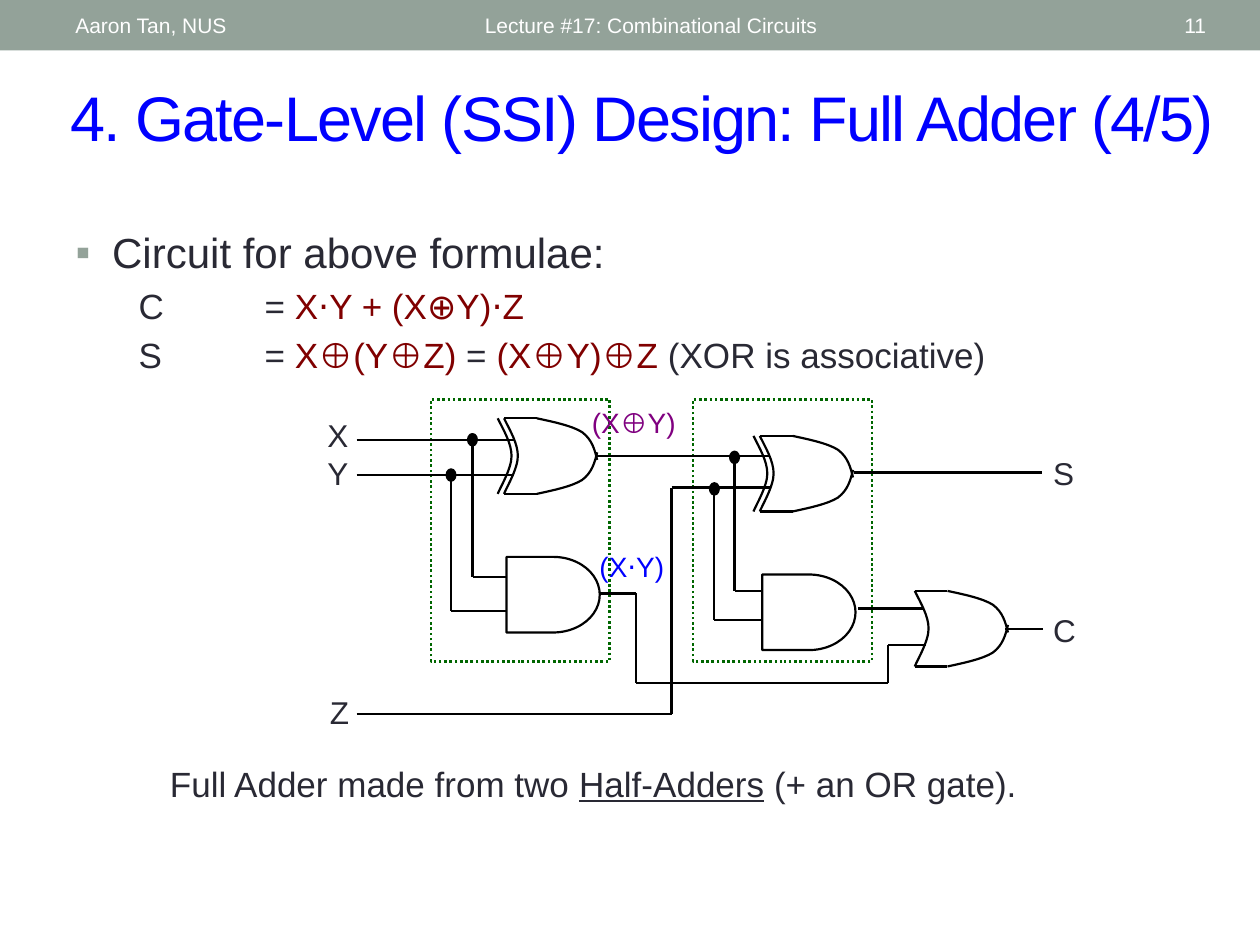
from itertools import pairwise

from lxml.etree import SubElement
from pptx import Presentation
from pptx.dml.color import RGBColor
from pptx.enum.dml import MSO_LINE
from pptx.enum.lang import MSO_LANGUAGE_ID as LANG
from pptx.enum.shapes import MSO_CONNECTOR, MSO_SHAPE
from pptx.enum.text import MSO_ANCHOR, MSO_AUTO_SIZE, PP_ALIGN
from pptx.oxml.ns import qn
from pptx.util import Emu, Inches, Pt

COLS, ROWS = 10, 7.5
UNIT = Inches(1)  # one grid column or row
BLACK, WHITE, INK, SAGE = "000000", "FFFFFF", "292934", "93A299"
BLUE, MAROON, PURPLE, GREEN = "0000FF", "800000", "800080", "006600"

GATE_H = 0.6
AND_W = 0.74
HALF_W, HALF_H = 1.42, 2.08
OR_BACK = [(0, 0), (0.05, 0.1), (0.11, 0.2), (0.11, 0.3),
           (0.11, 0.4), (0.02, 0.55), (0, 0.6)]
OR_NOSE = [(0.26, 0), (0.4, 0.03), (0.54, 0.06), (0.62, 0.11),
           (0.7, 0.17), (0.72, 0.25), (0.74, 0.33)]


def grid(*values):
    return [Emu(round(v * UNIT)) for v in values]


def rgb(value):
    return RGBColor.from_string(value)


def add_run(p, text, size=20, color=INK, underline=None, spacing=None, lang=None):
    r = p.add_run()
    r.text = text
    r.font.name, r.font.size = "Arial", Pt(size)
    r.font.color.rgb = rgb(color)
    r.font.underline = underline
    if lang is not None:
        r.font.language_id = lang
    if spacing is not None:
        r._r.get_or_add_rPr().set("spc", str(spacing))
    return r


def place(sp, x, y, w, h):
    sp.left, sp.top, sp.width, sp.height = grid(x, y, w, h)


def add_label(s, box, *lines, align=PP_ALIGN.LEFT, anchor=MSO_ANCHOR.TOP, **fmt):
    tf = s.shapes.add_textbox(*grid(*box)).text_frame
    tf.word_wrap, tf.vertical_anchor = True, anchor
    for i, line in enumerate(lines):
        p = tf.paragraphs[0] if i == 0 else tf.add_paragraph()
        p.alignment = align
        add_run(p, line, **fmt)
    return tf


def style(sp, fill=None, line=BLACK, width=1.25):
    sp.shadow.inherit = False
    if fill:
        sp.fill.solid()
        sp.fill.fore_color.rgb = rgb(fill)
    else:
        sp.fill.background()
    if line:
        sp.line.color.rgb, sp.line.width = rgb(line), Pt(width)
    else:
        sp.line.fill.background()
    return sp


def add_shape(s, kind, box, **fmt):
    return style(s.shapes.add_shape(kind, *grid(*box)), **fmt)


def wire(s, *points):
    """Join the points with straight connectors."""
    for a, b in pairwise(points):
        c = s.shapes.add_connector(MSO_CONNECTOR.STRAIGHT, *grid(*a, *b))
        c.line.color.rgb, c.line.width = rgb(BLACK), Pt(1.25)
        SubElement(c._element.spPr, qn("a:effectLst"))


def curve(s, x, y, points):
    """Draw a chain of cubic Bezier segments, offset by x and y."""
    dots = [grid(x + dx, y + dy) for dx, dy in points]
    fb = s.shapes.build_freeform(*dots[0])
    fb.add_line_segments(dots[1:], close=False)
    sp = style(fb.convert_to_shape())
    outline = next(sp._element.iter(qn("a:path")))
    lines = outline.findall(qn("a:lnTo"))
    for i in range(0, len(lines), 3):
        bezier = SubElement(outline, qn("a:cubicBezTo"))
        for ln in lines[i:i + 3]:
            bezier.append(ln[0])
            outline.remove(ln)


def or_gate(s, x, y, exclusive=False):
    curve(s, x, y, OR_BACK)
    if exclusive:
        curve(s, x - 0.05, y, OR_BACK)
    for edge in (y, y + GATE_H):
        wire(s, (x, edge), (x + OR_NOSE[0][0], edge))
    curve(s, x, y, OR_NOSE)
    curve(s, x, y, [(dx, GATE_H - dy) for dx, dy in OR_NOSE])


def half_adder(s, x, y, gate_x, xor_y, taps, and_ins):
    """Taps are the (x, y) junctions; each feeds one input of the AND gate."""
    or_gate(s, x + gate_x, y + xor_y, exclusive=True)
    and_x, and_y = x + gate_x + 0.02, y + xor_y + 1.1
    add_shape(s, MSO_SHAPE.FLOWCHART_DELAY, (and_x, and_y, AND_W, GATE_H))
    for (tap_x, tap_y), dy in zip(taps, and_ins):
        add_shape(s, MSO_SHAPE.OVAL,
                  (x + tap_x - 0.035, y + tap_y - 0.045, 0.07, 0.09), fill=BLACK)
        wire(s, (x + tap_x, y + tap_y), (x + tap_x, and_y + dy),
             (and_x, and_y + dy))
    frame = add_shape(s, MSO_SHAPE.RECTANGLE, (x, y, HALF_W, HALF_H),
                      line=GREEN, width=1.5)
    frame.line.dash_style = MSO_LINE.ROUND_DOT


def circuit(s, x, y):
    half_adder(s, x + 0.92, y, 0.58, 0.15,
               [(0.33, 0.32), (0.16, 0.6)], (0.16, 0.43))
    half_adder(s, x + 3, y, 0.53, 0.29,
               [(0.33, 0.46), (0.17, 0.71)], (0.13, 0.36))
    or_gate(s, x + 4.76, y + 1.52)
    for points in (
        [(0.33, 0.32), (1.58, 0.32)],
        [(0.33, 0.6), (1.58, 0.6)],
        [(2.23, 0.45), (3.61, 0.45)],
        [(0.33, 2.5), (2.83, 2.5), (2.83, 0.7), (3.61, 0.7)],
        [(2.25, 1.54), (2.55, 1.54), (2.55, 2.25), (4.55, 2.25),
         (4.55, 1.95), (4.85, 1.95)],
        [(4.31, 1.66), (4.83, 1.66)],
        [(4.28, 0.58), (5.77, 0.58)],
        [(5.48, 1.82), (5.78, 1.82)],
    ):
        wire(s, *((x + dx, y + dy) for dx, dy in points))
    for dx, dy, lines in ((0, 0.08, "XY"), (0.02, 2.28, "Z"),
                          (5.76, 0.38, "S"), (5.76, 1.63, "C")):
        add_label(s, (x + dx, y + dy, 0.42, 0.3 * len(lines) + 0.08), *lines, size=18)
    add_label(s, (x + 2.1, y, 0.9, 0.38), "(X⊕Y)", size=16, color=PURPLE)
    add_label(s, (x + 2.16, y + 1.14, 0.76, 0.36), "(X⋅Y)", size=16, color=BLUE)


def header(s, h):
    add_shape(s, MSO_SHAPE.RECTANGLE, (0, 0, COLS, h), fill=SAGE, line=None)
    for x, w, text, align in (
        (0.5, 3.17, "Aaron Tan, NUS", PP_ALIGN.LEFT),
        (3.75, 4.5, "Lecture #17: Combinational Circuits", PP_ALIGN.LEFT),
        (8.72, 0.95, "11", PP_ALIGN.RIGHT),
    ):
        add_label(s, (x, 0.02, w, h - 0.04), text, align=align,
                  anchor=MSO_ANCHOR.MIDDLE, size=12, color=WHITE)


def title(s, box):
    sp = s.shapes.title
    place(sp, *box)
    tf = sp.text_frame
    tf.auto_size, tf.vertical_anchor = MSO_AUTO_SIZE.NONE, MSO_ANCHOR.MIDDLE
    p = tf.paragraphs[0]
    p.alignment = PP_ALIGN.LEFT
    add_run(p, "4. Gate-Level (SSI) Design: Full Adder (4/5)",
            size=36, color=BLUE, spacing=-100)


def set_indent(p, margin, first):
    pPr = p._p.get_or_add_pPr()
    for key, value in zip(("marL", "indent", "defTabSz"), grid(margin, first, 1)):
        pPr.set(key, str(value))
    return pPr


def formulae(s, box):
    sp = s.placeholders[1]
    place(sp, *box)
    tf = sp.text_frame
    tf.auto_size, tf.vertical_anchor = MSO_AUTO_SIZE.NONE, MSO_ANCHOR.TOP
    p = tf.paragraphs[0]
    p.space_before = Pt(0)
    pPr = set_indent(p, 0.29, -0.29)
    SubElement(SubElement(pPr, qn("a:buClr")), qn("a:srgbClr"), val=SAGE)
    SubElement(pPr, qn("a:buFont"), typeface="Arial")
    SubElement(pPr, qn("a:buChar"), char="▪")
    add_run(p, "Circuit for above formulae:", size=24)

    for lang, parts in (
        (LANG.ENGLISH_US, [("\tC\t= ", INK), ("X⋅Y + (X⊕Y)⋅Z", MAROON)]),
        (LANG.ENGLISH_UK, [("\tS\t= ", INK), ("X⊕(Y⊕Z)", MAROON), (" = ", INK),
                           ("(X⊕Y)⊕Z ", MAROON), ("(XOR is associative)", INK)]),
    ):
        p = tf.add_paragraph()
        p.level = 1
        SubElement(set_indent(p, 0.5, -0.2), qn("a:buNone"))
        for text, color in parts:
            add_run(p, text, color=color, lang=lang)


def conclusion(s, box):
    p = add_label(s, box, "Full Adder made from two ").paragraphs[0]
    add_run(p, "Half-Adders", underline=True)
    add_run(p, " (+ an OR gate).")


def main():
    prs = Presentation()
    prs.slide_width, prs.slide_height = grid(COLS, ROWS)
    s = prs.slides.add_slide(prs.slide_layouts[1])
    header(s, 0.4)
    title(s, (0.46, 0.57, 9.42, 0.7))
    formulae(s, (0.5, 1.75, 8.92, 4.83))
    conclusion(s, (1.25, 6, 7.25, 0.58))
    circuit(s, 2.5, 3.17)
    prs.save("out.pptx")


if __name__ == "__main__":
    main()
